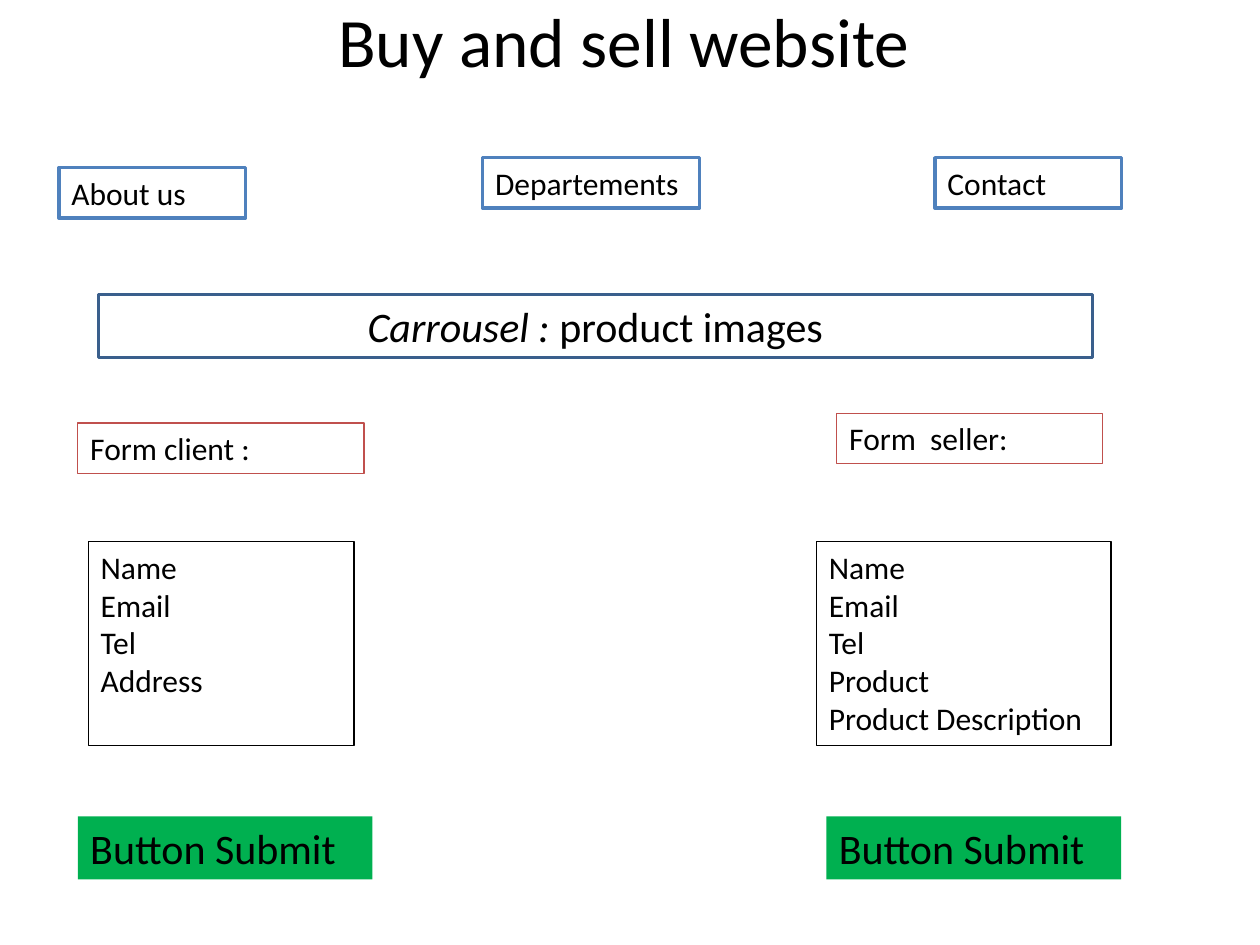
"""Build the wireframe slide of a buy and sell website."""
from pptx import Presentation
from pptx.dml.color import RGBColor
from pptx.enum import shapes, text
from pptx.util import Cm, Pt

HUES = {"ink": "000000", "white": "FFFFFF", "blue": "4F81BD",
        "navy": "3A5F8C", "red": "C0504D", "green": "00B050"}


def hue(name):
    return RGBColor.from_string(HUES[name])


def write(box, lines, size=18, align="LEFT", anchor="TOP", wrap=True):
    frame = box.text_frame
    frame.word_wrap = wrap
    frame.vertical_anchor = getattr(text.MSO_ANCHOR, anchor)
    for i, line in enumerate(lines):
        para = frame.add_paragraph() if i else frame.paragraphs[0]
        para.alignment = getattr(text.PP_ALIGN, align)
        for words, slant in line if isinstance(line, list) else [(line, False)]:
            run = para.add_run()
            run.text = words
            run.font.name = "Calibri"
            run.font.size = Pt(size)
            run.font.italic = slant
            run.font.color.rgb = hue("ink")


deck = Presentation()
deck.slide_width, deck.slide_height = Cm(25.4), Cm(19.05)
slide = deck.slides.add_slide(deck.slide_layouts[6])

title = slide.shapes.add_textbox(Cm(1.78), Cm(0), Cm(21.59), Cm(1.6))
write(title, ["Buy and sell website"], size=39.6, align="CENTER", anchor="MIDDLE")

menu = {"fill": "white", "line": "blue", "width": 2}
banner = {"line": "navy", "width": 1.75, "size": 24, "align": "CENTER"}
head = {"line": "red"}
form = {"line": "ink"}
button = {"fill": "green", "size": 24}
common = ["Name", "Email", "Tel"]

boxes = [
    (1.19, 3.38, 3.76, 1.02, ["About us"], menu),
    (9.73, 3.18, 4.37, 1.02, ["Departements"], menu),
    (18.85, 3.18, 3.76, 1.02, ["Contact"], menu),
    (1.98, 5.94, 20.04, 1.27,
     [[("Carrousel : ", True), ("product images", False)]], banner),
    (1.57, 8.53, 5.77, 1.02, ["Form client :"], head),
    (16.87, 8.33, 5.36, 1.02, ["Form  seller:"], head),
    (1.78, 10.92, 5.36, 4.11, common + ["Address"], form),
    (16.46, 10.92, 5.94, 4.11, common + ["Product", "Product Description"], form),
    (1.57, 16.46, 5.94, 1.27, ["Button Submit"], button),
    (16.66, 16.46, 5.94, 1.27, ["Button Submit"], button),
]

for left, top, wide, high, lines, style in boxes:
    box = slide.shapes.add_shape(shapes.MSO_SHAPE.RECTANGLE,
                                 Cm(left), Cm(top), Cm(wide), Cm(high))
    box.shadow.inherit = False
    if "fill" in style:
        box.fill.solid()
        box.fill.fore_color.rgb = hue(style["fill"])
    else:
        box.fill.background()
    if "line" in style:
        box.line.color.rgb = hue(style["line"])
        box.line.width = Pt(style.get("width", 0.75))
    else:
        box.line.fill.background()
    write(box, lines, size=style.get("size", 18), align=style.get("align", "LEFT"))

deck.save("out.pptx")
